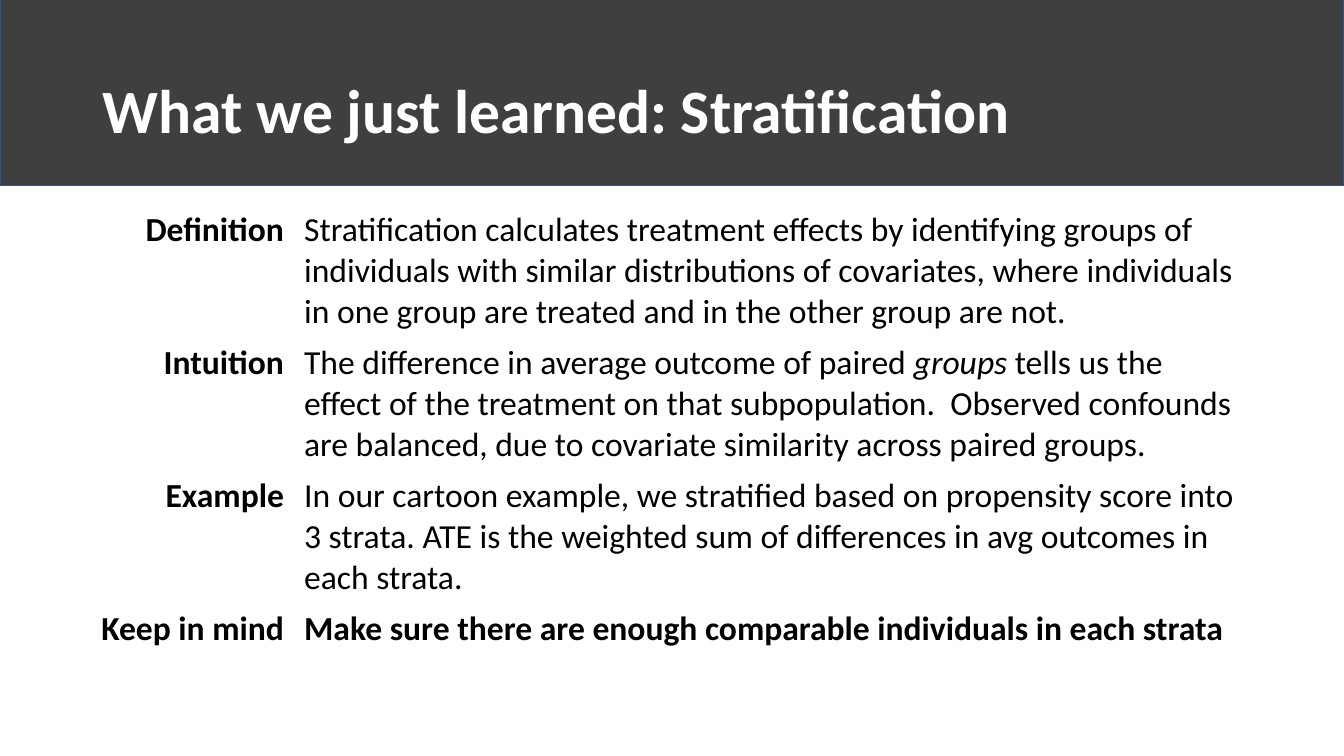
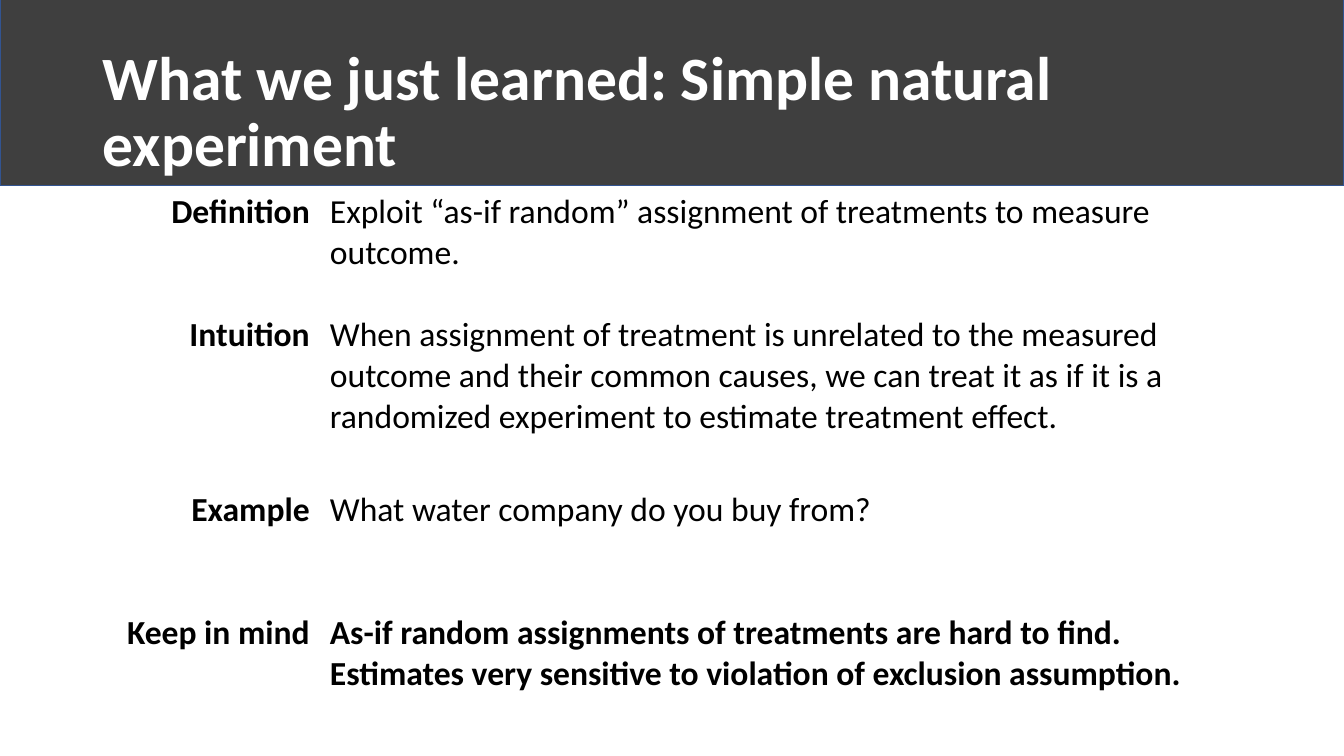
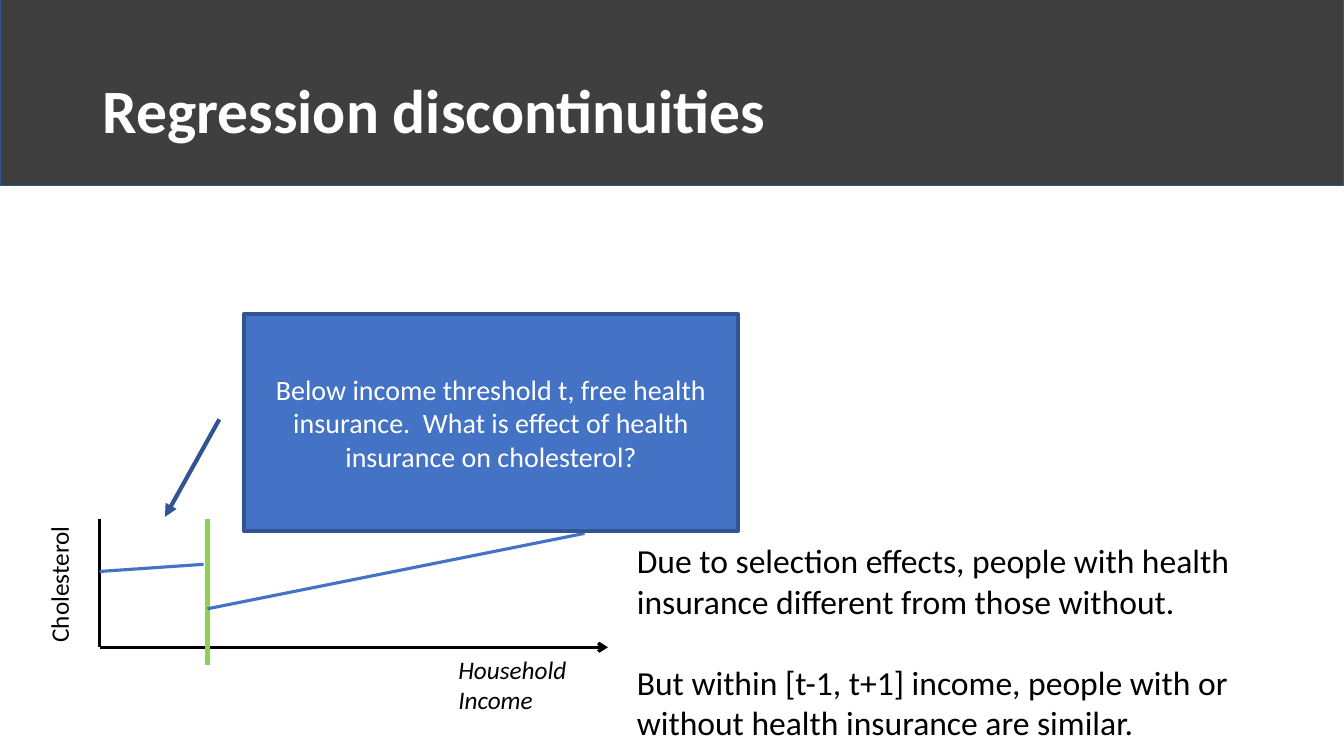
from lxml.etree import SubElement
from pptx import Presentation
from pptx.dml.color import RGBColor
from pptx.enum.shapes import MSO_CONNECTOR, MSO_SHAPE
from pptx.enum.text import MSO_ANCHOR, PP_ALIGN
from pptx.oxml.ns import qn
from pptx.util import Cm, Pt

FONT = "Calibri"
COLORS = {
    "band": "3F3F3F",
    "outline": "325491",
    "accent": "4472C4",
    "threshold": "92D050",
    "black": "000000",
    "white": "FFFFFF",
}
SLIDE_WIDTH, SLIDE_HEIGHT = 33.87, 19.05
BAND_TOP, BAND_HEIGHT = -0.02, 4.7
ROW_LABELS = ("Definition", "Intuition", "Example", "Keep in mind")


def color(name):
    return RGBColor.from_string(COLORS[name])


def format_text(text_frame, size, font_color="black", bold=False, italic=None,
                align=PP_ALIGN.LEFT):
    for paragraph in text_frame.paragraphs:
        paragraph.alignment = align
        for run in paragraph.runs:
            run.font.name = FONT
            run.font.size = Pt(size)
            run.font.bold = bold
            if italic is not None:
                run.font.italic = italic
            run.font.color.rgb = color(font_color)


def add_text(slide, text, left, top, width, height, size, wrap=True, **style):
    shape = slide.shapes.add_textbox(Cm(left), Cm(top), Cm(width), Cm(height))
    shape.text_frame.word_wrap = wrap
    shape.text_frame.text = text
    format_text(shape.text_frame, size, **style)
    return shape


def add_box(slide, kind, left, top, width, height, fill, line_width):
    shape = slide.shapes.add_shape(kind, Cm(left), Cm(top), Cm(width), Cm(height))
    shape.shadow.inherit = False
    shape.fill.solid()
    shape.fill.fore_color.rgb = color(fill)
    shape.line.color.rgb = color("outline")
    shape.line.width = Pt(line_width)
    return shape


def add_arrowhead(shape, head):
    SubElement(shape.line._get_or_add_ln(), qn("a:tailEnd"), type=head)


def add_line(slide, start, end, line_color, width=2.25):
    connector = slide.shapes.add_connector(
        MSO_CONNECTOR.STRAIGHT, *(Cm(value) for value in (*start, *end)))
    connector.line.color.rgb = color(line_color)
    connector.line.width = Pt(width)
    SubElement(connector._element.spPr, qn("a:effectLst"))
    return connector


def add_titled_slide(presentation, title, title_width=29.21):
    """Add a blank slide with the dark band and its white title."""
    slide = presentation.slides.add_slide(presentation.slide_layouts[6])
    add_box(slide, MSO_SHAPE.RECTANGLE, 0, BAND_TOP, SLIDE_WIDTH, BAND_HEIGHT, "band", 1)
    shape = add_text(slide, title, 2.34, 1.02, title_width, 3.68, 44,
                     font_color="white", bold=True)
    shape.text_frame.vertical_anchor = MSO_ANCHOR.MIDDLE
    shape.text_frame.paragraphs[0].line_spacing = 0.9
    return slide


def fill_cell(cell, text, **style):
    """Write text in a cell; words between asterisks become italic."""
    cell.fill.solid()
    cell.fill.fore_color.rgb = color("white")
    text_frame = cell.text_frame
    for index, line in enumerate(text.split("\n")):
        paragraph = text_frame.add_paragraph() if index else text_frame.paragraphs[0]
        for position, part in enumerate(line.split("*")):
            run = paragraph.add_run()
            run.text = part
            run.font.italic = position % 2 == 1
    format_text(text_frame, 24, **style)


def add_summary_table(slide, left, top, column_widths, row_heights, texts):
    frame = slide.shapes.add_table(
        len(texts), 2, Cm(left), Cm(top), Cm(sum(column_widths)), Cm(sum(row_heights)))
    table = frame.table
    table.first_row = table.horz_banding = False
    for column, width in zip(table.columns, column_widths):
        column.width = Cm(width)
    for index, (label, text, height) in enumerate(zip(ROW_LABELS, texts, row_heights)):
        table.rows[index].height = Cm(height)
        fill_cell(table.cell(index, 0), label, bold=True, align=PP_ALIGN.RIGHT)
        fill_cell(table.cell(index, 1), text, bold=index == len(texts) - 1)


def add_cholesterol_plot(slide):
    origin_x, origin_y, plot_top = 2.51, 16.31, 13.08
    threshold_x = 5.23
    add_text(slide, "Household\nIncome", 11.3, 16.36, 4.11, 1.8, 18,
             wrap=False, italic=True)
    add_line(slide, (origin_x, origin_y), (origin_x, plot_top), "black")
    income_axis = add_line(slide, (origin_x, origin_y), (15.32, origin_y), "black")
    add_arrowhead(income_axis, "arrow")
    axis_label = add_text(slide, "Cholesterol", -0.13, 14.12, 3.45, 1.24, 18,
                          align=PP_ALIGN.RIGHT)
    axis_label.rotation = 270
    add_line(slide, (origin_x, 14.4), (5.13, 14.22), "accent")
    add_line(slide, (threshold_x, 16.76), (threshold_x, plot_top), "threshold", 3)
    add_line(slide, (threshold_x, 15.34), (14.73, 13.44), "accent")


def add_callout(slide, text):
    callout = add_box(slide, MSO_SHAPE.LINE_CALLOUT_1, 6.15, 7.92, 12.45, 5.46,
                      "accent", 3)
    for index, value in enumerate((0.485, -0.05, 0.935, -0.16)):
        callout.adjustments[index] = value
    add_arrowhead(callout, "triangle")
    callout.text_frame.word_wrap = True
    callout.text_frame.vertical_anchor = MSO_ANCHOR.MIDDLE
    callout.text_frame.text = text
    format_text(callout.text_frame, 20, "white", align=PP_ALIGN.CENTER)


def add_stratification_slide(presentation):
    slide = add_titled_slide(presentation, "What we just learned: Stratification")
    add_summary_table(slide, 1.57, 5.16, (5.84, 24.1), (3.35, 3.35, 3.35, 2.92), (
        "Stratification calculates treatment effects by identifying groups of "
        "individuals with similar distributions of covariates, where individuals "
        "in one group are treated and in the other group are not.",
        "The difference in average outcome of paired *groups* tells us the effect "
        "of the treatment on that subpopulation.  Observed confounds are balanced, "
        "due to covariate similarity across paired groups.",
        "In our cartoon example, we stratified based on propensity score into "
        "3 strata. ATE is the weighted sum of differences in avg outcomes in "
        "each strata.",
        "Make sure there are enough comparable individuals in each strata",
    ))


def add_natural_experiment_slide(presentation):
    slide = add_titled_slide(
        presentation, "What we just learned: Simple natural experiment", 30.73)
    add_summary_table(slide, 2.34, 4.7, (5.72, 23.5), (3.1, 4.4, 3.1, 3.1), (
        "Exploit “as-if random” assignment of treatments to measure outcome.",
        "When assignment of treatment is unrelated to the measured outcome and "
        "their common causes, we can treat it as if it is a randomized experiment "
        "to estimate treatment effect.",
        "What water company do you buy from?",
        "As-if random assignments of treatments are hard to find.\n"
        "Estimates very sensitive to violation of exclusion assumption.",
    ))


def add_discontinuity_slide(presentation):
    slide = add_titled_slide(presentation, "Regression discontinuities")
    add_cholesterol_plot(slide)
    add_callout(slide, "Below income threshold t, free health insurance.  "
                       "What is effect of health insurance on cholesterol?")
    explanation = add_text(
        slide,
        "Due to selection effects, people with health insurance different from "
        "those without.\n"
        "But within [t-1, t+1] income, people with or without health insurance "
        "are similar.",
        15.8, 13.49, 17.17, 5.38, 24)
    explanation.text_frame.paragraphs[1].space_before = Pt(29)


def main():
    presentation = Presentation()
    presentation.slide_width = Cm(SLIDE_WIDTH)
    presentation.slide_height = Cm(SLIDE_HEIGHT)
    add_stratification_slide(presentation)
    add_natural_experiment_slide(presentation)
    add_discontinuity_slide(presentation)
    presentation.save("out.pptx")


if __name__ == "__main__":
    main()
